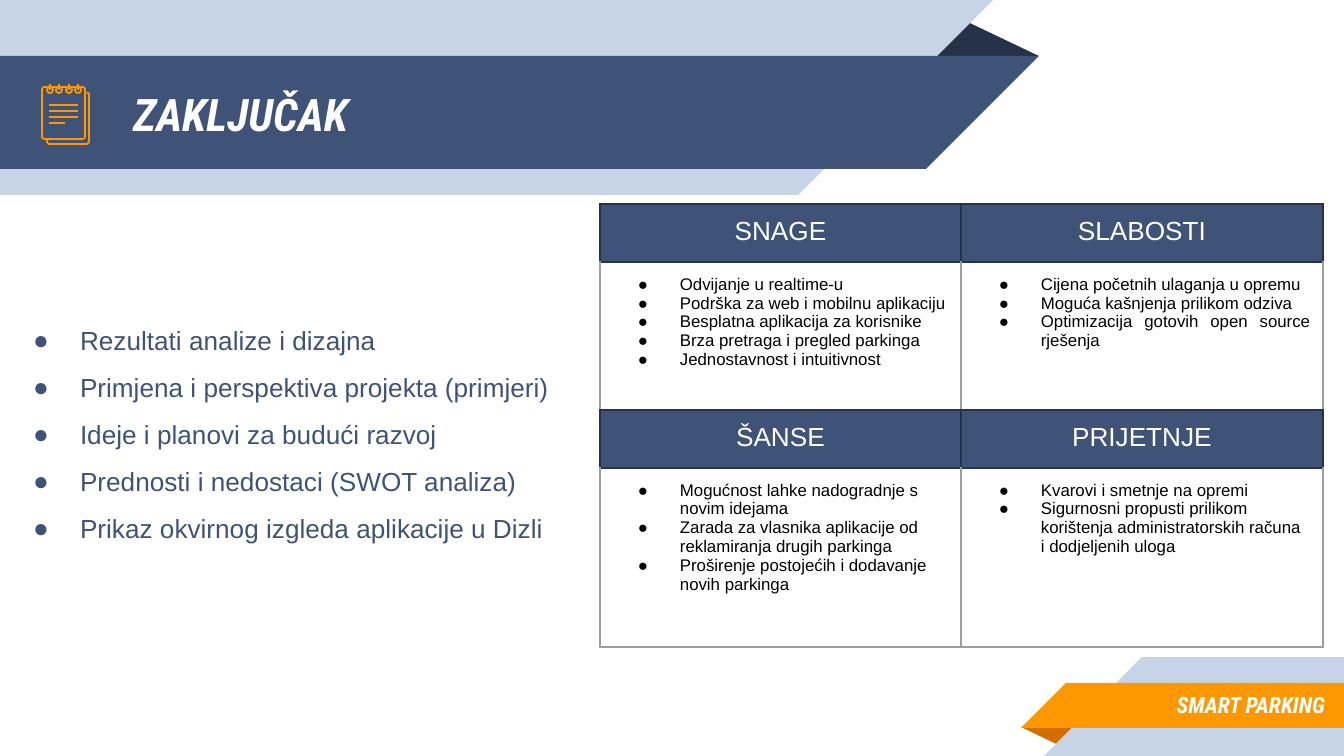
from dataclasses import dataclass

from lxml.etree import SubElement
from pptx import Presentation
from pptx.dml.color import RGBColor
from pptx.enum.shapes import MSO_CONNECTOR, MSO_SHAPE
from pptx.enum.text import MSO_ANCHOR, PP_ALIGN
from pptx.oxml.ns import qn
from pptx.util import Emu, Pt

EMU_PER_PX = 914400 / 134.4
NAVY, DARK, PALE = "3F5378", "263248", "C7D3E6"
ORANGE, BROWN = "FF9800", "D26F00"
WHITE, BLACK, GREY = "FFFFFF", "000000", "9E9E9E"
RECTANGLE, CORNER, TRIANGLE = (
    MSO_SHAPE.RECTANGLE, MSO_SHAPE.RIGHT_TRIANGLE, MSO_SHAPE.ISOSCELES_TRIANGLE)
INSET = 13


@dataclass
class Piece:
    kind: MSO_SHAPE
    left: int
    top: int
    width: int
    height: int
    fill: str
    rotation: int = 0
    flip: bool = False


@dataclass
class Quadrant:
    heading: str
    points: list[str]
    align: PP_ALIGN = PP_ALIGN.LEFT
    right_inset: int = INSET


PIECES = [
    Piece(TRIANGLE, 925, 19, 114, 37, DARK),
    Piece(RECTANGLE, 0, 0, 798, 195, PALE),
    Piece(CORNER, 798, 0, 195, 195, PALE, 180, True),
    Piece(RECTANGLE, 0, 56, 926, 113, NAVY),
    Piece(CORNER, 926, 56, 113, 113, NAVY, 180, True),
    Piece(TRIANGLE, 1021, 727, 58, 19, BROWN, 180),
    Piece(RECTANGLE, 1142, 657, 202, 99, PALE),
    Piece(CORNER, 1044, 657, 98, 99, PALE, 0, True),
    Piece(RECTANGLE, 1066, 683, 278, 45, ORANGE),
    Piece(CORNER, 1021, 683, 45, 45, ORANGE, 0, True),
]
TOPICS = [
    "Rezultati analize i dizajna",
    "Primjena i perspektiva projekta (primjeri)",
    "Ideje i planovi za budući razvoj",
    "Prednosti i nedostaci (SWOT analiza)",
    "Prikaz okvirnog izgleda aplikacije u Dizli",
]
SWOT = [
    [
        Quadrant("SNAGE", [
            "Odvijanje u realtime-u",
            "Podrška za web i mobilnu aplikaciju",
            "Besplatna aplikacija za korisnike",
            "Brza pretraga i pregled parkinga",
            "Jednostavnost i intuitivnost",
        ], right_inset=11),
        Quadrant("SLABOSTI", [
            "Cijena početnih ulaganja u opremu",
            "Moguća kašnjenja prilikom odziva",
            "Optimizacija gotovih open source rješenja",
        ], PP_ALIGN.JUSTIFY),
    ],
    [
        Quadrant("ŠANSE", [
            "Mogućnost lahke nadogradnje s novim idejama",
            "Zarada za vlasnika aplikacije od reklamiranja drugih parkinga",
            "Proširenje postojećih i dodavanje novih parkinga",
        ]),
        Quadrant("PRIJETNJE", [
            "Kvarovi i smetnje na opremi",
            "Sigurnosni propusti prilikom korištenja administratorskih računa i dodjeljenih uloga",
        ], right_inset=16),
    ],
]


def px(length: int) -> Emu:
    return Emu(round(length * EMU_PER_PX))


def color(code: str) -> RGBColor:
    return RGBColor.from_string(code)


def draw_piece(slide, piece: Piece) -> None:
    shape = slide.shapes.add_shape(
        piece.kind, px(piece.left), px(piece.top), px(piece.width), px(piece.height))
    shape.shadow.inherit = False
    shape.fill.solid()
    shape.fill.fore_color.rgb = color(piece.fill)
    shape.line.fill.background()
    shape.rotation = piece.rotation
    if piece.flip:
        shape.element.spPr.xfrm.set("flipH", "1")
    if piece.kind == TRIANGLE:
        shape.adjustments[0] = 0.32


def outline(shape) -> None:
    shape.shadow.inherit = False
    shape.fill.background()
    shape.line.color.rgb = color(ORANGE)
    shape.line.width = Pt(1)


def draw_stroke(slide, x1: int, y1: int, x2: int, y2: int) -> None:
    stroke = slide.shapes.add_connector(
        MSO_CONNECTOR.STRAIGHT, px(x1), px(y1), px(x2), px(y2))
    stroke.line.color.rgb = color(ORANGE)
    stroke.line.width = Pt(1)
    SubElement(stroke.element.spPr, qn("a:effectLst"))


def draw_notepad(slide) -> None:
    builder = slide.shapes.build_freeform(47, 140, scale=EMU_PER_PX)
    builder.add_line_segments(
        [(47, 142), (49, 144), (87, 144), (89, 142), (89, 94), (87, 92)], close=False)
    outline(builder.convert_to_shape())
    page = slide.shapes.add_shape(
        MSO_SHAPE.ROUNDED_RECTANGLE, px(42), px(87), px(43), px(52))
    page.adjustments[0] = 0.06
    outline(page)
    for center in (50, 59, 69, 78):
        outline(slide.shapes.add_shape(
            MSO_SHAPE.OVAL, px(center - 3), px(87), px(6), px(6)))
        draw_stroke(slide, center, 84, center, 90)
    for y, right in ((105, 78), (111, 78), (117, 78), (123, 65)):
        draw_stroke(slide, 49, y, right, y)


def write(para, text: str, *, size: int, fill: str, font: str = "Arial",
          strong: bool = False, align: PP_ALIGN = PP_ALIGN.LEFT, hang: int = 0) -> None:
    """Fill a paragraph; strong is bold italic, and hang above zero adds a bullet."""
    para.alignment = align
    span = para.add_run()
    span.text = text
    span.font.size = Pt(size)
    span.font.name = font
    span.font.bold = span.font.italic = strong
    span.font.color.rgb = color(fill)
    if hang:
        properties = para._p.get_or_add_pPr()
        properties.set("marL", str(px(67)))
        properties.set("indent", str(-px(hang)))
        SubElement(SubElement(properties, qn("a:buClr")), qn("a:srgbClr"), val=fill)
        SubElement(properties, qn("a:buFont"), typeface="Arial")
        SubElement(properties, qn("a:buChar"), char="●")


def write_list(frame, lines: list[str], **style) -> None:
    for index, line in enumerate(lines):
        para = frame.add_paragraph() if index else frame.paragraphs[0]
        write(para, line, **style)


def add_box(slide, left: int, top: int, width: int, height: int, anchor: MSO_ANCHOR):
    frame = slide.shapes.add_textbox(px(left), px(top), px(width), px(height)).text_frame
    frame.word_wrap = True
    frame.vertical_anchor = anchor
    frame.margin_left = frame.margin_right = px(INSET)
    frame.margin_top = frame.margin_bottom = px(INSET)
    return frame


def format_cell(cell, borders: dict[str, str], right_inset: int = INSET) -> None:
    cell.margin_left = cell.margin_top = cell.margin_bottom = px(INSET)
    cell.margin_right = px(right_inset)
    properties = cell._tc.get_or_add_tcPr()
    for side, code in borders.items():
        line = SubElement(properties, qn(f"a:ln{side}"), w=str(Pt(0.75)))
        SubElement(SubElement(line, qn("a:solidFill")), qn("a:srgbClr"), val=code)


def draw_swot(slide) -> None:
    table = slide.shapes.add_table(4, 2, px(600), px(204), px(723), px(443)).table
    table.first_row = table.horz_banding = False
    for column, width in zip(table.columns, (361, 362)):
        column.width = px(width)
    for row, height in zip(table.rows, (58, 148, 58, 179)):
        row.height = px(height)
    for band, quadrants in enumerate(SWOT):
        bottom = GREY if band == len(SWOT) - 1 else DARK
        for column, quadrant in enumerate(quadrants):
            head = table.cell(2 * band, column)
            format_cell(head, dict.fromkeys("LRTB", DARK))
            head.fill.solid()
            head.fill.fore_color.rgb = color(NAVY)
            write(head.text_frame.paragraphs[0], quadrant.heading,
                  size=14, fill=WHITE, align=PP_ALIGN.CENTER)
            body = table.cell(2 * band + 1, column)
            format_cell(body, {"L": GREY, "R": GREY, "T": DARK, "B": bottom},
                        quadrant.right_inset)
            body.fill.background()
            write_list(body.text_frame, quadrant.points, size=9, fill=BLACK,
                       align=quadrant.align, hang=42)


def main() -> None:
    deck = Presentation()
    deck.slide_width, deck.slide_height = px(1344), px(756)
    slide = deck.slides.add_slide(deck.slide_layouts[6])
    for piece in PIECES:
        draw_piece(slide, piece)
    label = {"fill": WHITE, "font": "Roboto Condensed", "strong": True}
    title = add_box(slide, 120, 57, 773, 113, MSO_ANCHOR.MIDDLE)
    write(title.paragraphs[0], "ZAKLJUČAK", size=24, **label)
    footer = add_box(slide, 1119, 681, 219, 47, MSO_ANCHOR.MIDDLE)
    write(footer.paragraphs[0], "SMART PARKING", size=12, align=PP_ALIGN.RIGHT, **label)
    draw_notepad(slide)
    topics = add_box(slide, 0, 296, 918, 376, MSO_ANCHOR.TOP)
    write_list(topics, TOPICS, size=14, fill=NAVY, align=PP_ALIGN.JUSTIFY, hang=47)
    for para in topics.paragraphs:
        para.line_spacing = 1.5
    topics.paragraphs[0].space_before = Pt(6)
    draw_swot(slide)
    deck.save("out.pptx")


if __name__ == "__main__":
    main()
